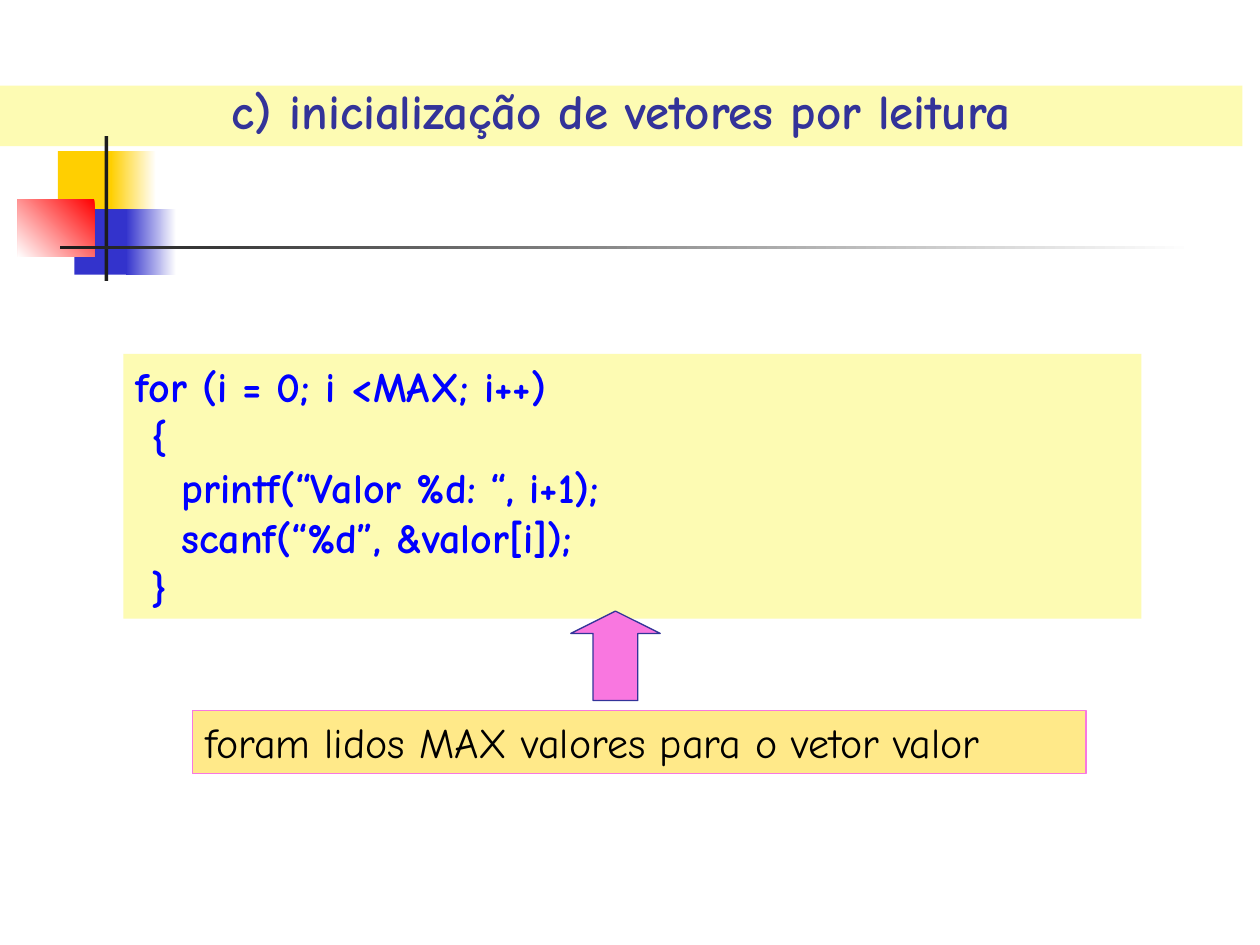
from dataclasses import dataclass

from pptx import Presentation
from pptx.dml.color import RGBColor
from pptx.enum.shapes import MSO_SHAPE
from pptx.enum.text import MSO_ANCHOR, MSO_AUTO_SIZE, PP_ALIGN
from pptx.util import Inches, Pt


@dataclass(frozen=True)
class Theme:
    font: str = "Comic Neue"
    title_size: int = 28
    body_size: int = 24
    white: str = "FFFFFF"
    black: str = "000000"
    dark: str = "1C1C1C"
    yellow: str = "FFCF01"
    blue: str = "3333CC"
    red: str = "FF0000"
    cream: str = "FDFBB3"
    sand: str = "FFE989"
    pink: str = "F977E0"
    navy: str = "333399"
    code: str = "0000FF"


T = Theme()


def rgb(value):
    return RGBColor.from_string(value)


def add_box(s, box, fill, line=None, kind=MSO_SHAPE.RECTANGLE):
    sp = s.shapes.add_shape(kind, *map(Inches, box))
    sp.shadow.inherit = False
    sp.fill.solid()
    sp.fill.fore_color.rgb = rgb(fill)
    if line:
        sp.line.color.rgb = rgb(line)
        sp.line.width = Pt(0.75)
    else:
        sp.line.fill.background()
    return sp


def add_fade(s, box, start, end, angle=180):
    sp = add_box(s, box, start)
    sp.fill.gradient()
    sp.fill.gradient_angle = 360 - angle
    for stop, color, position in zip(sp.fill.gradient_stops, (start, end), (0, 1)):
        stop.color.rgb = rgb(color)
        stop.position = position


def set_text(sp, text, size=T.body_size, color=T.black, bold=False,
             align=PP_ALIGN.LEFT, spacing=None, indents=()):
    tf = sp.text_frame
    tf.word_wrap = True
    tf.auto_size = MSO_AUTO_SIZE.NONE
    tf.vertical_anchor = MSO_ANCHOR.TOP
    tf.text = text
    for p in tf.paragraphs:
        p.alignment = align
        p.line_spacing = spacing
        r = p.runs[0]
        r.font.name = T.font
        r.font.size = Pt(size)
        r.font.bold = bold
        r.font.color.rgb = rgb(color)
    for p, indent in zip(tf.paragraphs, indents):
        pPr = p._p.get_or_add_pPr()
        pPr.set("marL", str(Inches(indent)))
        pPr.set("indent", "0")


def add_ornament(s):
    add_box(s, (0.46, 1.2, 0.48, 0.52), T.yellow)
    add_fade(s, (0.88, 1.2, 0.36, 0.52), T.white, T.yellow)
    add_box(s, (0.59, 1.66, 0.46, 0.52), T.blue)
    add_fade(s, (1, 1.66, 0.4, 0.52), T.white, T.blue)
    add_fade(s, (0.14, 1.58, 0.61, 0.46), T.red, T.white, angle=135)
    add_box(s, (0.83, 1.08, 0.03, 1.15), T.dark)
    add_fade(s, (0.48, 1.95, 9, 0.03), T.white, T.dark)


def add_title(s, text):
    sp = s.shapes.title
    sp.left, sp.top, sp.width, sp.height = map(Inches, (0, 0.68, 9.86, 0.48))
    sp.fill.solid()
    sp.fill.fore_color.rgb = rgb(T.cream)
    set_text(sp, text, size=T.title_size, color=T.navy, bold=True,
             align=PP_ALIGN.CENTER, spacing=0.8)


def add_code(s, box, lines):
    sp = add_box(s, box, T.cream)
    indents, texts = zip(*lines)
    set_text(sp, "\n".join(texts), color=T.code, bold=True, indents=indents)


def add_note(s, box, text):
    set_text(add_box(s, box, T.sand, line=T.pink), text)


def add_arrow(s, box):
    sp = add_box(s, box, T.pink, line=T.navy, kind=MSO_SHAPE.UP_ARROW)
    sp.adjustments[0] = 0.5
    sp.adjustments[1] = 0.25


def main():
    prs = Presentation()
    prs.slide_width, prs.slide_height = Inches(10), Inches(7.5)
    s = prs.slides.add_slide(prs.slide_layouts[5])
    add_ornament(s)
    add_title(s, "c) inicialização de vetores por leitura")
    add_code(s, (0.98, 2.81, 8.08, 2.1), [
        (0, "for (i = 0; i <MAX; i++)"),
        (0.12, "{"),
        (0.36, "printf(“Valor %d: “, i+1);"),
        (0.36, "scanf(“%d”, &valor[i]);"),
        (0.12, "}"),
    ])
    add_note(s, (1.53, 5.64, 7.09, 0.5), "foram lidos MAX valores para o vetor valor")
    add_arrow(s, (4.53, 4.85, 0.71, 0.71))
    prs.save("out.pptx")


if __name__ == "__main__":
    main()
